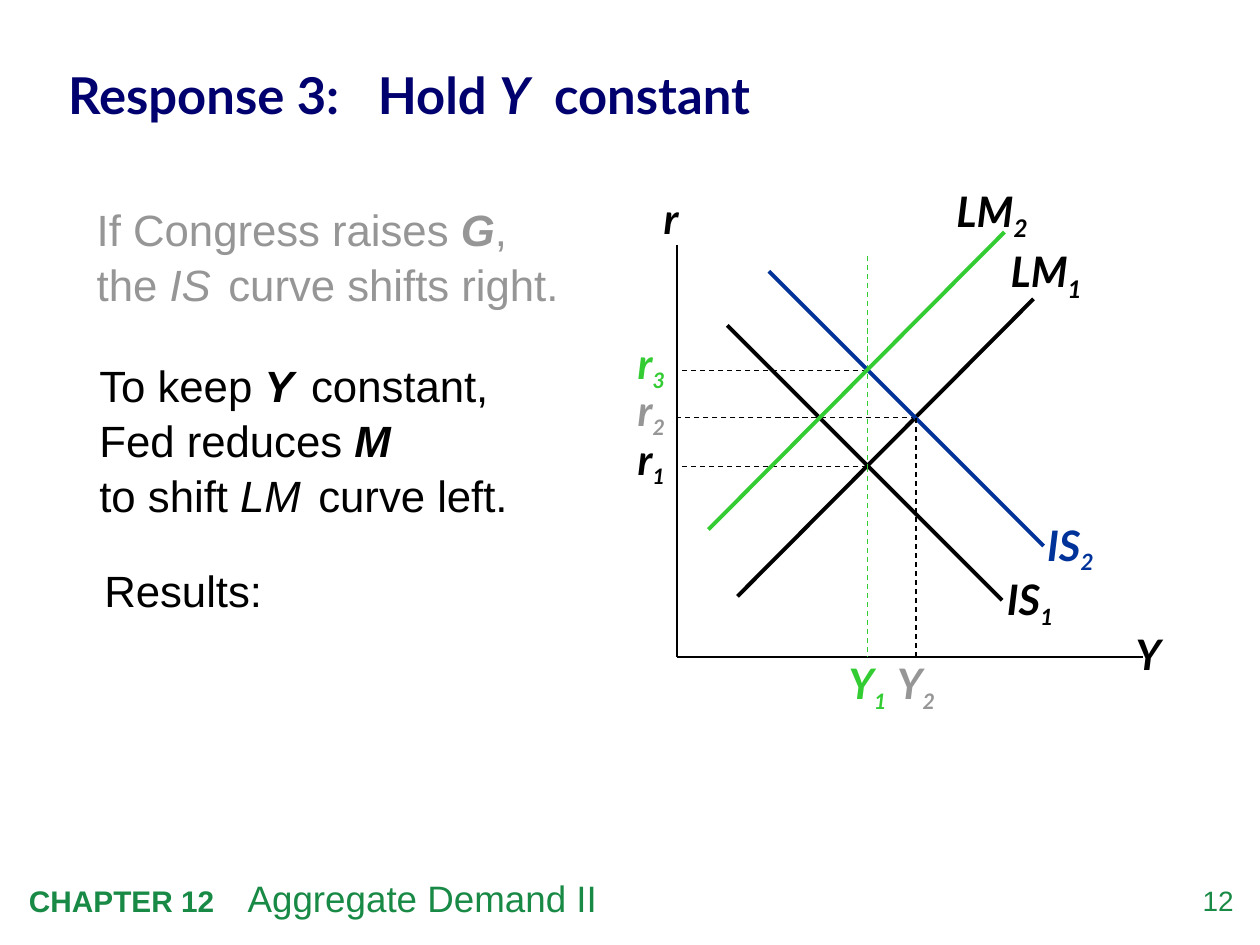
from lxml import etree
from pptx import Presentation
from pptx.dml.color import RGBColor
from pptx.enum.dml import MSO_LINE
from pptx.enum.shapes import MSO_CONNECTOR
from pptx.enum.text import MSO_ANCHOR, PP_ALIGN
from pptx.oxml.ns import qn
from pptx.util import Pt

COLORS = {"title": "00006E", "footer": "198A46", "black": "000000",
          "gray": "969696", "green": "33CC33", "blue": "003399"}


def add_text(slide, x, y, w, h, runs, size, color, font="Arial", align=PP_ALIGN.LEFT,
             anchor=MSO_ANCHOR.TOP, spacing=None, inset=True, wrap=True, tabs=()):
    """Add one paragraph. A run is (text, style); style may hold bold, italic, size, sub."""
    tf = slide.shapes.add_textbox(Pt(x), Pt(y), Pt(w), Pt(h)).text_frame
    tf.word_wrap = wrap
    tf.vertical_anchor = anchor
    if not inset:
        tf.margin_left = tf.margin_right = tf.margin_top = tf.margin_bottom = 0
    p = tf.paragraphs[0]
    p.alignment = align
    if spacing:
        p.line_spacing = spacing
    if tabs:
        tab_list = etree.SubElement(p._p.get_or_add_pPr(), qn("a:tabLst"))
        for pos in tabs:
            etree.SubElement(tab_list, qn("a:tab"), pos=str(Pt(pos)), algn="l")
    for text, style in runs:
        if text == "\n":
            p.add_line_break()
            continue
        r = p.add_run()
        r.text = text
        r.font.name = font
        r.font.size = Pt(style.get("size", size))
        r.font.bold = style.get("bold", False)
        r.font.italic = style.get("italic", False)
        r.font.color.rgb = RGBColor.from_string(COLORS[color])
        if style.get("sub"):
            r.font._element.set("baseline", "-25000")


def add_line(slide, x1, y1, x2, y2, color="black", width=1.0, dashed=False):
    line = slide.shapes.add_connector(MSO_CONNECTOR.STRAIGHT, Pt(x1), Pt(y1), Pt(x2), Pt(y2))
    line.line.color.rgb = RGBColor.from_string(COLORS[color])
    line.line.width = Pt(width)
    if dashed:
        line.line.dash_style = MSO_LINE.DASH
    etree.SubElement(line._element.spPr, qn("a:effectLst"))


def add_symbol(slide, x, y, w, name, sub="", color="black", sub_size=21, align=PP_ALIGN.CENTER):
    """Add a bold italic variable name with an optional subscript."""
    style = {"bold": True, "italic": True}
    runs = [(name, style)]
    if sub:
        runs.append((sub, {**style, "size": sub_size, "sub": True}))
    add_text(slide, x, y, w, 36, runs, 24, color, "Lato", align)


def add_title(slide, x, y, w, h):
    bold = {"bold": True}
    runs = [("Response 3:\tHold ", bold), ("Y", {"bold": True, "italic": True}),
            ("\tconstant", bold)]
    add_text(slide, x, y, w, h, runs, 29, "title", "Lato", anchor=MSO_ANCHOR.MIDDLE,
             spacing=1.05, inset=False, tabs=(177, 277.7))


def add_argument(slide, x, y):
    """Add the three steps of the reasoning."""
    plain, italic, thin = {}, {"italic": True}, {"size": 11}
    strong = {"bold": True, "italic": True}
    steps = [
        (0, 0, 290, 76, "gray",
         [("If Congress raises ", plain), ("G", strong), (",", plain), ("\n", plain),
          ("the ", plain), ("IS", italic), (" ", thin), (" curve shifts right.", plain)]),
        (1.5, 89.3, 262, 108, "black",
         [("To keep ", plain), ("Y", strong), (" ", thin), (" constant,", plain), ("\n", plain),
          ("Fed reduces ", plain), ("M", strong), ("\n", plain),
          ("to shift ", plain), ("LM", italic), (" ", thin), (" curve left.", plain)]),
        (4.3, 206, 240, 42, "black", [("Results:", plain)]),
    ]
    for dx, dy, w, h, color, runs in steps:
        add_text(slide, x + dx, y + dy, w, h, runs, 25, color, spacing=1.05)


def add_is_lm_diagram(slide, x, y):
    left, right = x + 32.6, x + 299
    top, bottom = y + 37.7, y + 273.1
    y1, y2 = x + 141.5, x + 169.2
    rates = [("1", 164.4, y1, "black"), ("2", 136.4, y2, "gray"), ("3", 109.7, y1, "green")]

    add_line(slide, left, top, left, bottom)
    add_line(slide, left, bottom, right, bottom)
    add_symbol(slide, right - 19.4, y + 253.7, 45, "Y")
    add_symbol(slide, left - 19.4, y + 4.5, 32, "r")

    for sub, level, end, color in rates:
        add_line(slide, end, y + level, left, y + level, width=0.75, dashed=True)
        add_symbol(slide, x, y + level - 22.4, 36, "r", sub, color)

    # name, subscript, start, run and rise, label place, subscript size, colours
    falling, rising = (157, 157), (169.2, -170)
    curves = [
        ("IS", "1", (61.4, 83.8), falling, (214.1, 222), 22, "black", "black"),
        ("LM", "1", (67.2, 238.6), rising, (216.2, 34.8), 24, "black", "black"),
        ("IS", "2", (85.2, 52.8), falling, (237.1, 191), 22, "blue", "blue"),
        ("LM", "2", (50.6, 200.4), rising, (185.3, 0.2), 24, "green", "black"),
    ]
    for name, sub, (sx, sy), (dx, dy), (lx, ly), sub_size, color, label_color in curves:
        add_line(slide, x + sx, y + sy, x + sx + dx, y + sy + dy, color, 2.25)
        add_symbol(slide, x + lx, y + ly, 61, name, sub, label_color, sub_size, PP_ALIGN.LEFT)

    verticals = [("1", y1, (44.2, 164.4), "green", "green"),
                 ("2", y2, (136.4,), "black", "gray")]
    for sub, pos, starts, color, label_color in verticals:
        stops = [y + start for start in starts] + [bottom]
        for upper, lower in zip(stops, stops[1:]):
            add_line(slide, pos, upper, pos, lower, color, 0.75, dashed=True)
        add_symbol(slide, pos - 21, bottom - 2.9, 42, "Y", sub, label_color)


def add_footer(slide, x, y, w, h):
    runs = [("CHAPTER 12", {"bold": True, "size": 17}), ("\tAggregate Demand II", {})]
    add_text(slide, x, y, 589, h, runs, 21, "footer", tabs=(125,))
    add_text(slide, x + w - 40, y + 8, 40, 23, [("12", {})], 16, "footer",
             align=PP_ALIGN.RIGHT, inset=False)


def main():
    prs = Presentation()
    prs.slide_width, prs.slide_height = Pt(720), Pt(540)
    slide = prs.slides.add_slide(prs.slide_layouts[6])
    add_footer(slide, 9.4, 496.8, 695.5, 32.4)
    add_title(slide, 38.9, 20.2, 511, 66)
    add_argument(slide, 48.2, 110.9)
    add_is_lm_diagram(slide, 354.2, 102.2)
    prs.save("out.pptx")


if __name__ == "__main__":
    main()
